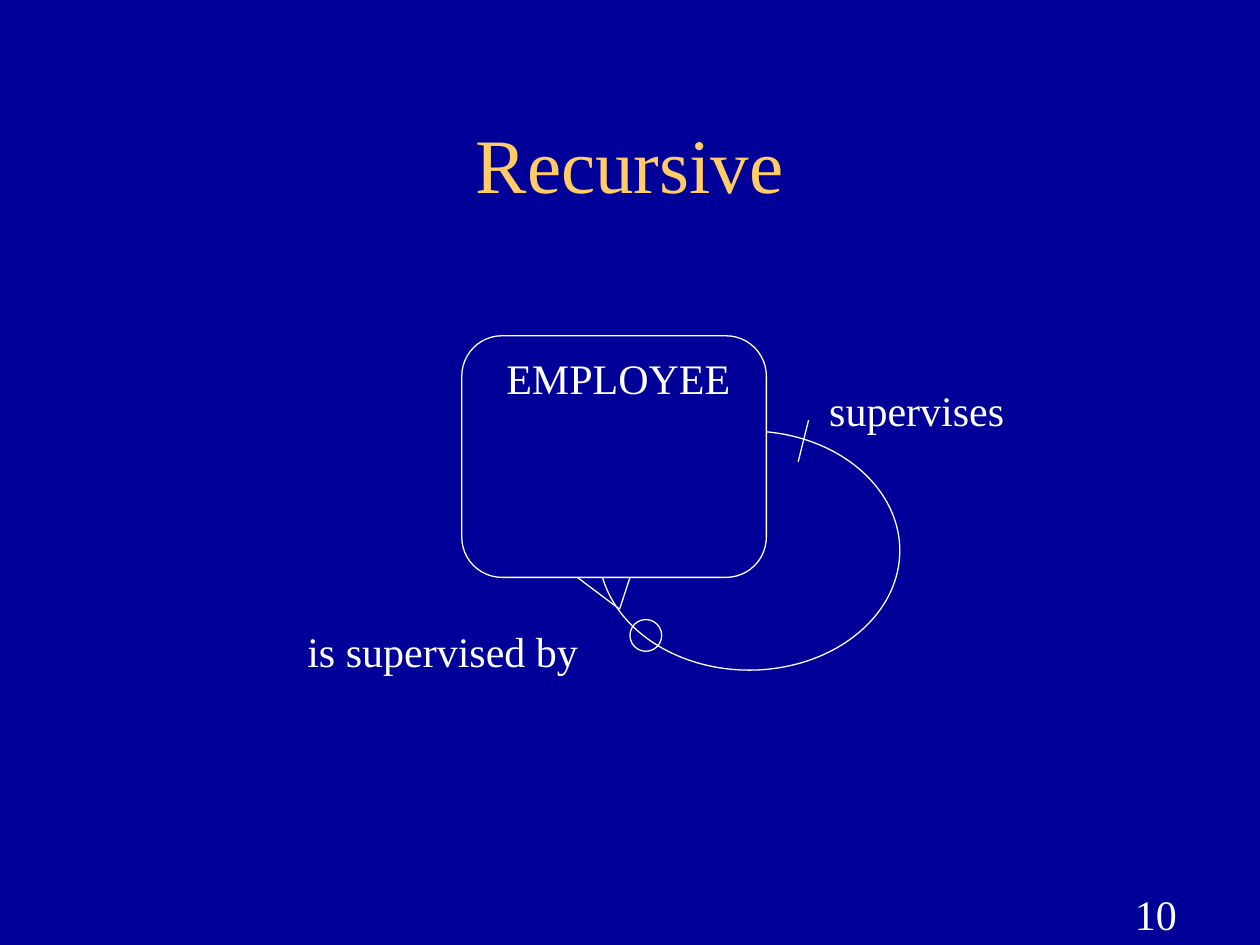
from pptx import Presentation
from pptx.dml.color import RGBColor
from pptx.enum.shapes import MSO_CONNECTOR, MSO_SHAPE
from pptx.enum.text import MSO_ANCHOR, PP_ALIGN
from pptx.oxml.ns import qn
from pptx.util import Cm, Pt

COLORS = {"background": "000099", "ink": "FFFFFF", "title": "FFCC66"}


class DiagramSlide:
    """Draw entity-relationship elements on one slide in a shared style."""

    font_name = "Times New Roman"
    line_width = Pt(0.75)

    def __init__(self, slide):
        self.slide = slide
        self.fill(slide.background, "background")

    def color(self, key):
        return RGBColor.from_string(COLORS[key])

    def fill(self, target, key):
        target.fill.solid()
        target.fill.fore_color.rgb = self.color(key)

    def stroke(self, line):
        line.color.rgb = self.color("ink")
        line.width = self.line_width

    def text(self, content, left, top, width, height=1.27, size=24,
             key="ink", align=PP_ALIGN.CENTER, anchor=MSO_ANCHOR.TOP, wrap=False):
        box = self.slide.shapes.add_textbox(Cm(left), Cm(top), Cm(width), Cm(height))
        frame = box.text_frame
        frame.word_wrap = wrap
        frame.vertical_anchor = anchor
        paragraph = frame.paragraphs[0]
        paragraph.text = content
        paragraph.alignment = align
        paragraph.font.name = self.font_name
        paragraph.font.size = Pt(size)
        paragraph.font.color.rgb = self.color(key)

    def outline(self, preset, left, top, width, height):
        shape = self.slide.shapes.add_shape(
            preset, Cm(left), Cm(top), Cm(width), Cm(height))
        shape.shadow.inherit = False
        shape.fill.background()
        self.stroke(shape.line)
        return shape

    def entity(self, left, top, width, height):
        shape = self.outline(MSO_SHAPE.ROUNDED_RECTANGLE, left, top, width, height)
        self.fill(shape, "background")

    def line(self, start, end):
        points = [Cm(value) for value in (*start, *end)]
        connector = self.slide.shapes.add_connector(MSO_CONNECTOR.STRAIGHT, *points)
        self.stroke(connector.line)
        properties = connector.element.spPr
        properties.append(properties.makeelement(qn("a:effectLst"), {}))


def main():
    presentation = Presentation()
    presentation.slide_width, presentation.slide_height = Cm(25.4), Cm(19.05)
    diagram = DiagramSlide(
        presentation.slides.add_slide(presentation.slide_layouts[6]))

    diagram.text("10", 22.63, 17.78, 4.04, align=PP_ALIGN.LEFT, wrap=True)
    diagram.outline(MSO_SHAPE.OVAL, 12.07, 8.69, 6.07, 4.82)
    diagram.text("Recursive", 1.9, 1.69, 21.6, 3.18, size=44, key="title",
                 anchor=MSO_ANCHOR.MIDDLE, wrap=True)
    diagram.entity(9.31, 6.77, 6.14, 4.87)
    diagram.text("EMPLOYEE", 9.95, 6.99, 5.03)

    crow_foot_tip = (12.49, 12.28)
    diagram.line((11.64, 11.64), crow_foot_tip)
    diagram.line(crow_foot_tip, (12.7, 11.64))
    diagram.line((16.09, 9.31), (16.3, 8.47))
    diagram.outline(MSO_SHAPE.OVAL, 12.7, 12.49, 0.64, 0.64)

    diagram.text("supervises", 16.46, 7.62, 4.04)
    diagram.text("is supervised by", 5.94, 12.49, 5.97)
    presentation.save("out.pptx")


if __name__ == "__main__":
    main()
